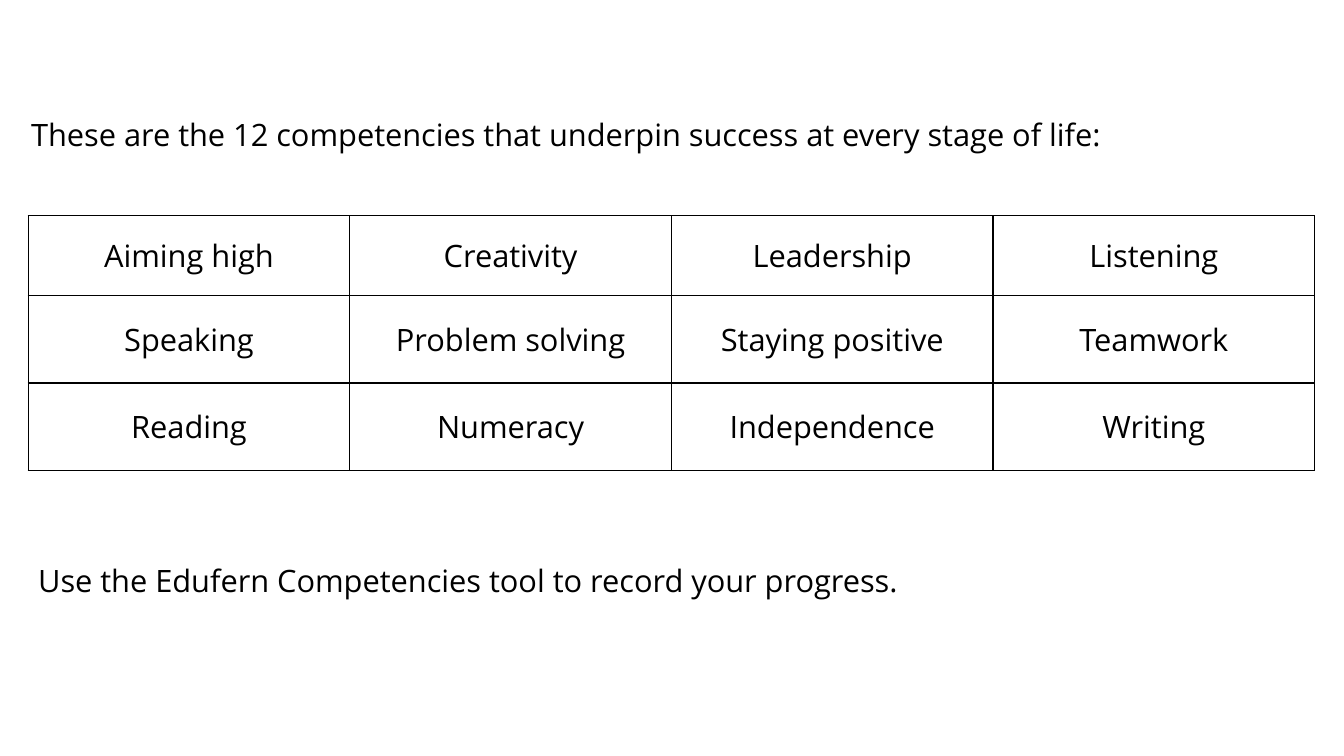
"""Build the slide that lists the twelve competencies in a table."""
from dataclasses import dataclass

import lxml.etree
import pptx
import pptx.dml.color
import pptx.enum.text
import pptx.oxml.ns
import pptx.util

EMU_PER_PX = 9144
FONT_NAME = "Open Sans"
FONT_SIZE = pptx.util.Pt(22)
COLOURS = {"ink": "000000", "paper": "FFFFFF"}
COMPETENCIES = [
    ["Aiming high", "Creativity", "Leadership", "Listening"],
    ["Speaking", "Problem solving", "Staying positive", "Teamwork"],
    ["Reading", "Numeracy", "Independence", "Writing"],
]
COLUMN_WIDTH = 319
ROW_HEIGHTS = [79, 87, 87]


@dataclass(frozen=True)
class Sentence:
    left: int
    top: int
    text: str


SENTENCES = [
    Sentence(21, 92, "These are the 12 competencies that underpin success at every stage of life:"),
    Sentence(28, 534, "Use the Edufern Competencies tool to record your progress."),
]


def px(length: int) -> pptx.util.Emu:
    return pptx.util.Emu(length * EMU_PER_PX)


def colour(name: str) -> pptx.dml.color.RGBColor:
    return pptx.dml.color.RGBColor.from_string(COLOURS[name])


def write(frame, text: str):
    para = frame.paragraphs[0]
    para.text = text
    para.font.name = FONT_NAME
    para.font.size = FONT_SIZE
    para.font.color.rgb = colour("ink")
    return para


def add_sentence(page, sentence: Sentence) -> None:
    box = page.shapes.add_textbox(px(sentence.left), px(sentence.top), px(1236), px(60))
    box.text_frame.word_wrap = True
    box.text_frame.auto_size = pptx.enum.text.MSO_AUTO_SIZE.SHAPE_TO_FIT_TEXT
    write(box.text_frame, sentence.text).line_spacing = 1.5


def add_borders(cell) -> None:
    properties = cell._tc.get_or_add_tcPr()
    for position, side in enumerate(("lnL", "lnR", "lnT", "lnB")):
        line = lxml.etree.Element(pptx.oxml.ns.qn(f"a:{side}"), w=str(pptx.util.Pt(1)))
        fill = lxml.etree.SubElement(line, pptx.oxml.ns.qn("a:solidFill"))
        lxml.etree.SubElement(fill, pptx.oxml.ns.qn("a:srgbClr"), val=COLOURS["ink"])
        properties.insert(position, line)


def add_competency_table(page) -> None:
    row_count, column_count = len(COMPETENCIES), len(COMPETENCIES[0])
    table = page.shapes.add_table(
        row_count, column_count, px(28), px(214),
        px(COLUMN_WIDTH * column_count), px(sum(ROW_HEIGHTS)),
    ).table
    table.first_row = False
    table.horz_banding = False
    for row, height in zip(table.rows, ROW_HEIGHTS):
        row.height = px(height)
    for cell, name in zip(table.iter_cells(), sum(COMPETENCIES, [])):
        cell.fill.solid()
        cell.fill.fore_color.rgb = colour("paper")
        cell.vertical_anchor = pptx.enum.text.MSO_ANCHOR.MIDDLE
        write(cell.text_frame, name).alignment = pptx.enum.text.PP_ALIGN.CENTER
        add_borders(cell)


def main() -> None:
    deck = pptx.Presentation()
    deck.slide_width, deck.slide_height = px(1333), px(750)
    page = deck.slides.add_slide(deck.slide_layouts.get_by_name("Blank"))
    add_competency_table(page)
    for sentence in SENTENCES:
        add_sentence(page, sentence)
    deck.save("out.pptx")


if __name__ == "__main__":
    main()
